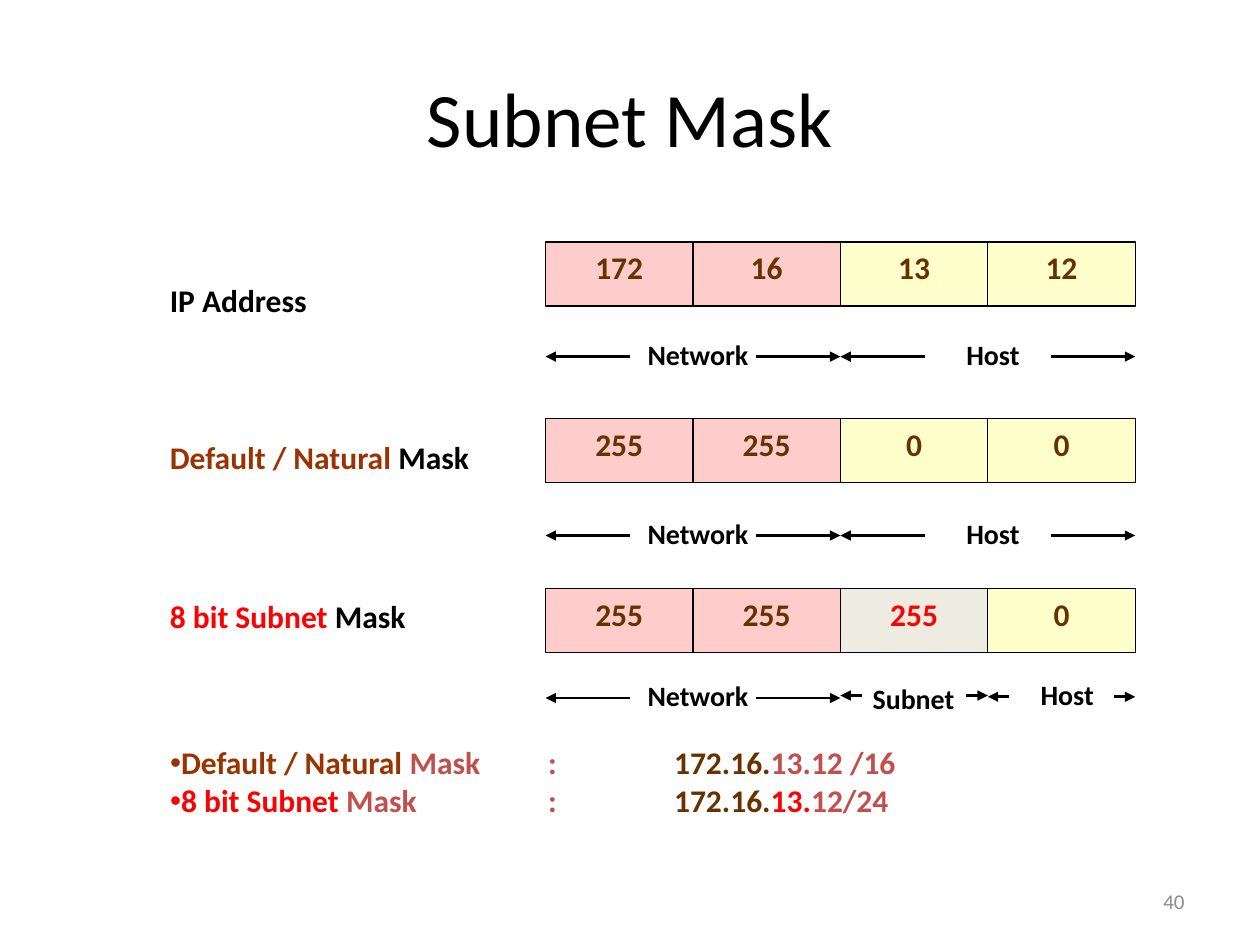
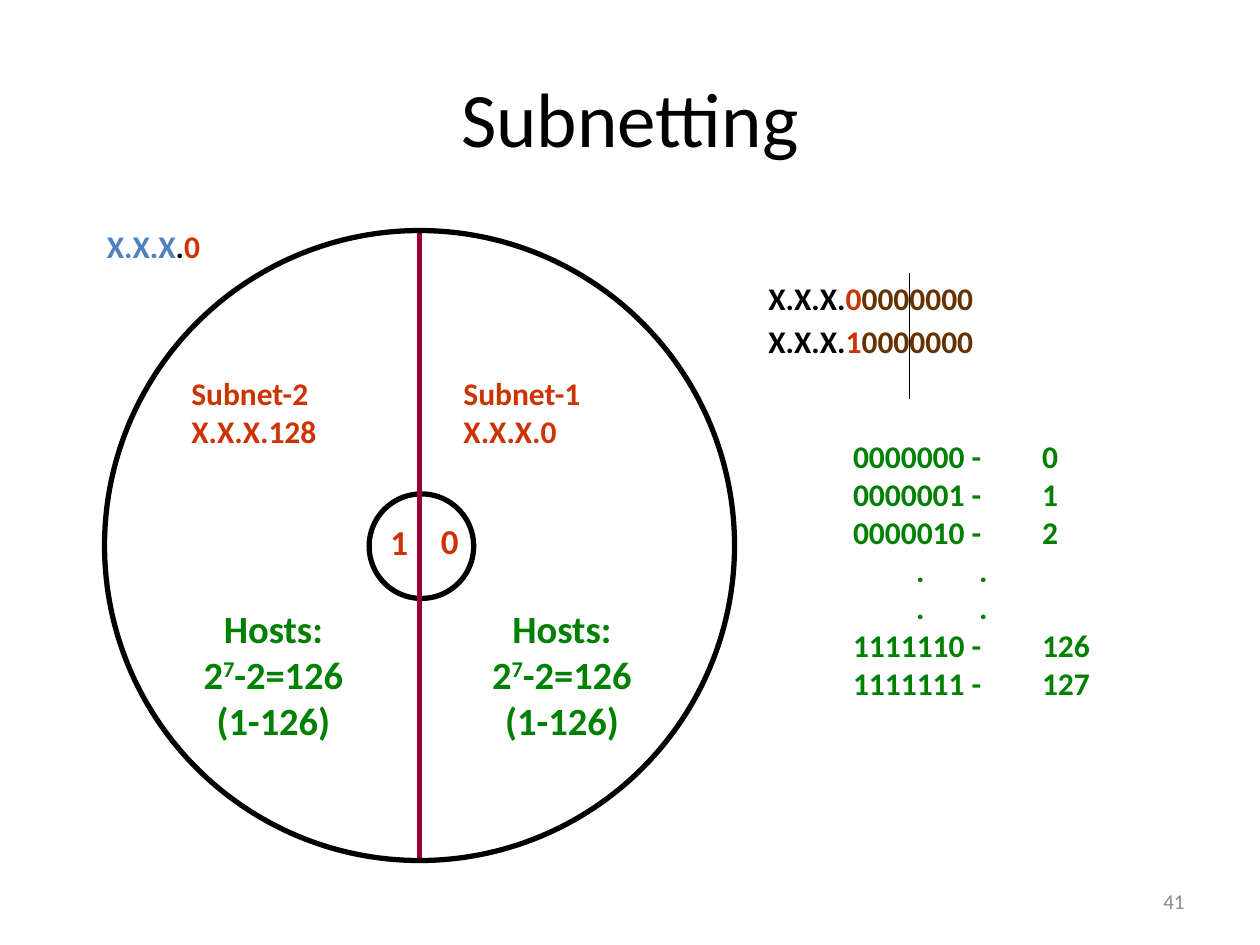
"""Build two slides on subnet masks and subnetting."""
from dataclasses import dataclass
from typing import NamedTuple, Optional, Sequence

from lxml import etree
from pptx import Presentation, util as u
from pptx.dml.color import RGBColor
from pptx.enum import shapes, text
from pptx.oxml import ns

FONT = "Calibri"
BLACK = RGBColor(0x00, 0x00, 0x00)
GREY = RGBColor(0x8C, 0x8C, 0x8C)
RED = RGBColor(0xFF, 0x00, 0x00)
BRICK = RGBColor(0xC0, 0x50, 0x4D)
RUST = RGBColor(0x99, 0x33, 0x00)
ORANGE = RGBColor(0xCC, 0x33, 0x00)
BROWN = RGBColor(0x66, 0x33, 0x00)
GREEN = RGBColor(0x00, 0x80, 0x00)
BLUE = RGBColor(0x4F, 0x81, 0xBD)
WINE = RGBColor(0x99, 0x00, 0x33)
PINK = RGBColor(0xFF, 0xCC, 0xCC)
CREAM = RGBColor(0xFF, 0xFF, 0xCC)
SAND = RGBColor(0xEE, 0xEC, 0xE1)

LEFT, CENTER, RIGHT = text.PP_ALIGN.LEFT, text.PP_ALIGN.CENTER, text.PP_ALIGN.RIGHT
GRID_LEFT, CELL_W, CELL_H = 4.33, 1.17, 0.51
LABEL_W = 1.08


class Box(NamedTuple):
    left: float
    top: float
    width: float
    height: float


class Run(NamedTuple):
    text: str
    color: RGBColor
    superscript: bool = False


class Tab(NamedTuple):
    pos: float
    align: str = "l"


@dataclass
class Para:
    runs: Sequence[Run]
    align: text.PP_ALIGN = LEFT
    bullet: bool = False
    tabs: Sequence[Tab] = ()
    before: float = 0
    spacing: Optional[float] = None


@dataclass
class Octet:
    value: str
    fill: RGBColor
    color: RGBColor = BROWN


@dataclass
class Span:
    label: str
    cell: int
    cells: int
    arrow_y: float
    arrow_w: float = 0.67
    label_dx: float = 0.67
    label_dy: float = -0.2


@dataclass
class AddressRow:
    name: Sequence[Run]
    name_top: float
    top: float
    octets: Sequence[Octet]
    spans: Sequence[Span]


def place(sp, box: Box) -> None:
    """Move and size a shape."""
    sp.left, sp.top, sp.width, sp.height = (u.Inches(v) for v in box)


def write(tf, paras: Sequence[Para], size: float, bold: bool = True) -> None:
    """Fill a text frame with formatted paragraphs."""
    tf.word_wrap = True
    tf.auto_size = text.MSO_AUTO_SIZE.NONE
    for i, para in enumerate(paras):
        p = tf.add_paragraph() if i else tf.paragraphs[0]
        p.alignment = para.align
        p.space_before = u.Pt(para.before)
        if para.spacing:
            p.line_spacing = para.spacing
        pPr = p._p.get_or_add_pPr()
        pPr.set("marL", "0")
        pPr.set("indent", "0")
        if para.bullet:
            etree.SubElement(pPr, ns.qn("a:buChar")).set("char", "•")
        else:
            etree.SubElement(pPr, ns.qn("a:buNone"))
        if para.tabs:
            stops = etree.SubElement(pPr, ns.qn("a:tabLst"))
            for tab in para.tabs:
                stop = etree.SubElement(stops, ns.qn("a:tab"))
                stop.set("pos", str(u.Inches(tab.pos)))
                stop.set("algn", tab.align)
        for run in para.runs:
            r = p.add_run()
            r.text = run.text
            r.font.name, r.font.size, r.font.bold = FONT, u.Pt(size), bold
            r.font.color.rgb = run.color
            if run.superscript:
                r._r.get_or_add_rPr().set("baseline", "30000")


def add_text(s, box: Box, paras: Sequence[Para], size: float = 18, bold: bool = True):
    """Add a text box."""
    sp = s.shapes.add_textbox(*(u.Inches(v) for v in box))
    write(sp.text_frame, paras, size, bold)
    return sp


def add_body(s, box: Box, paras: Sequence[Para]) -> None:
    """Move and fill the body placeholder."""
    sp = s.placeholders[1]
    place(sp, box)
    write(sp.text_frame, paras, 18)


def add_line(s, x1: float, y1: float, x2: float, y2: float, width: float,
             color: RGBColor = BLACK, arrow: str = "") -> None:
    """Add a straight line with an optional arrowhead at headEnd or tailEnd."""
    ends = (u.Inches(v) for v in (x1, y1, x2, y2))
    cx = s.shapes.add_connector(shapes.MSO_CONNECTOR.STRAIGHT, *ends)
    cx.line.color.rgb = color
    cx.line.width = u.Pt(width)
    if arrow:
        ln = cx.line._get_or_add_ln()
        etree.SubElement(ln, ns.qn(f"a:{arrow}")).set("type", "triangle")
    etree.SubElement(cx._element.spPr, ns.qn("a:effectLst"))


def add_preset(s, kind: shapes.MSO_SHAPE, box: Box, width: float,
               fill: Optional[RGBColor] = None):
    """Add a black-outlined preset shape."""
    sp = s.shapes.add_shape(kind, *(u.Inches(v) for v in box))
    sp.shadow.inherit = False
    if fill is None:
        sp.fill.background()
    else:
        sp.fill.solid()
        sp.fill.fore_color.rgb = fill
    sp.line.color.rgb = BLACK
    sp.line.width = u.Pt(width)
    return sp


def add_slide(prs, title: str, number: int):
    """Add a slide with its title and number."""
    s = prs.slides.add_slide(prs.slide_layouts[1])
    place(s.shapes.title, Box(0.5, 0.3, 9, 1.25))
    write(s.shapes.title.text_frame, [Para([Run(title, BLACK)], CENTER)], 44, False)
    sp = add_text(s, Box(7.17, 6.95, 2.33, 0.4),
                  [Para([Run(str(number), GREY)], RIGHT)], 12, False)
    sp.text_frame.vertical_anchor = text.MSO_ANCHOR.MIDDLE
    return s


def add_span(s, span: Span) -> None:
    """Add a label between two outward arrows."""
    x1 = GRID_LEFT + span.cell * CELL_W
    x2 = x1 + span.cells * CELL_W
    y = span.arrow_y
    add_text(s, Box(x1 + span.label_dx, y + span.label_dy, LABEL_W, 0.37),
             [Para([Run(span.label, BLACK)], CENTER)], 16)
    add_line(s, x1, y, x1 + span.arrow_w, y, 1.5, arrow="headEnd")
    add_line(s, x2 - span.arrow_w, y, x2, y, 1.5, arrow="tailEnd")


def add_address_row(s, row: AddressRow) -> None:
    """Add a named row of four octets and its spans."""
    add_text(s, Box(1.25, row.name_top, 3, 0.4), [Para(row.name)])
    for i, octet in enumerate(row.octets):
        box = Box(GRID_LEFT + i * CELL_W, row.top, CELL_W, CELL_H)
        sp = add_preset(s, shapes.MSO_SHAPE.RECTANGLE, box, 0.75, octet.fill)
        sp.text_frame.vertical_anchor = text.MSO_ANCHOR.TOP
        write(sp.text_frame, [Para([Run(octet.value, octet.color)], CENTER)], 18)
    for span in row.spans:
        add_span(s, span)


def build_mask_slide(prs) -> None:
    """Build the subnet mask slide."""
    s = add_slide(prs, "Subnet Mask", 40)
    network = [Octet("255", PINK)] * 2
    zero = Octet("0", CREAM)
    mask = Run(" Mask", BLACK)
    rows = [
        AddressRow([Run("IP Address", BLACK)], 2.18, 1.92,
                   [Octet("172", PINK), Octet("16", PINK),
                    Octet("13", CREAM), Octet("12", CREAM)],
                   [Span("Network", 0, 2, 2.83), Span("Host", 2, 2, 2.83)]),
        AddressRow([Run("Default / Natural", RUST), mask], 3.43, 3.32,
                   network + [zero, zero],
                   [Span("Network", 0, 2, 4.25), Span("Host", 2, 2, 4.25)]),
        AddressRow([Run("8 bit Subnet", RED), mask], 4.69, 4.67,
                   network + [Octet("255", SAND, RED), zero],
                   [Span("Network", 0, 2, 5.54),
                    Span("Subnet", 2, 1, 5.52, 0.17, 0.04, -0.16),
                    Span("Host", 3, 1, 5.53, 0.17, 0.09)]),
    ]
    for row in rows:
        add_address_row(s, row)
    shared = [Run("Mask\t:\t", BRICK), Run("172.16.", BROWN)]
    lines = [
        [Run("Default / Natural ", RUST), *shared, Run("13.12 /16", BRICK)],
        [Run("8 bit Subnet ", RED), *shared, Run("13.", RED), Run("12/24", BRICK)],
    ]
    tabs = [Tab(3), Tab(4)]
    add_body(s, Box(1.25, 5.85, 8, 0.9),
             [Para(runs, bullet=True, tabs=tabs) for runs in lines])


def build_subnetting_slide(prs) -> None:
    """Build the subnetting slide."""
    s = add_slide(prs, "Subnetting", 41)
    for name, left in (("Subnet-1 X.X.X.0", 3.58), ("Subnet-2 X.X.X.128", 1.42)):
        add_text(s, Box(left, 2.92, 1.75, 0.9), [Para([Run(name, ORANGE)])])
    for bit, box in (("0", Box(3.4, 4.07, 0.27, 0.43)), ("1", Box(3, 4.08, 0.42, 0.43))):
        add_text(s, box, [Para([Run(bit, ORANGE)])], 20)
    add_preset(s, shapes.MSO_SHAPE.OVAL, Box(2.93, 3.92, 0.83, 0.83), 3)
    add_line(s, 3.33, 1.83, 3.33, 6.83, 3, WINE)
    add_line(s, 7.22, 2.17, 7.22, 3.17, 0.75)

    number_tab = [Tab(1.44, "r")]
    dot_tabs = [Tab(0.37, "ctr"), Tab(1.22, "ctr")]
    counts = ["0000000 -\t0", "0000001 -\t1", "0000010 -\t2", "\t.\t.", "\t.\t.",
              "1111110 -\t126", "1111111 -\t127"]
    add_body(s, Box(6.67, 3.42, 2.58, 2.9),
             [Para([Run(count, GREEN)], tabs=dot_tabs if "." in count else number_tab)
              for count in counts])

    hosts = [
        [Run("Hosts:", GREEN)],
        [Run("2", GREEN), Run("7", GREEN, True), Run("-2=126", GREEN)],
        [Run("(1-126)", GREEN)],
    ]
    for left, width in ((1.42, 1.5), (3.67, 1.58)):
        add_text(s, Box(left, 4.75, width, 1.2), [Para(runs, CENTER) for runs in hosts], 22)

    add_text(s, Box(6, 2.25, 2.83, 0.86),
             [Para([Run("X.X.X.", BLACK), Run(bit, ORANGE), Run("0000000", BROWN)],
                   before=before, spacing=0.7) for bit, before in (("0", 0), ("1", 9))])
    add_preset(s, shapes.MSO_SHAPE.OVAL, Box(0.83, 1.83, 5, 5), 3)
    add_text(s, Box(0.75, 1.75, 1.33, 0.5),
             [Para([Run("X.X.X", BLUE), Run(".", BLACK), Run("0", ORANGE)])])


def main() -> None:
    """Build and save the presentation."""
    prs = Presentation()
    prs.slide_width, prs.slide_height = u.Inches(10), u.Inches(7.5)
    build_mask_slide(prs)
    build_subnetting_slide(prs)
    prs.save("out.pptx")


if __name__ == "__main__":
    main()
